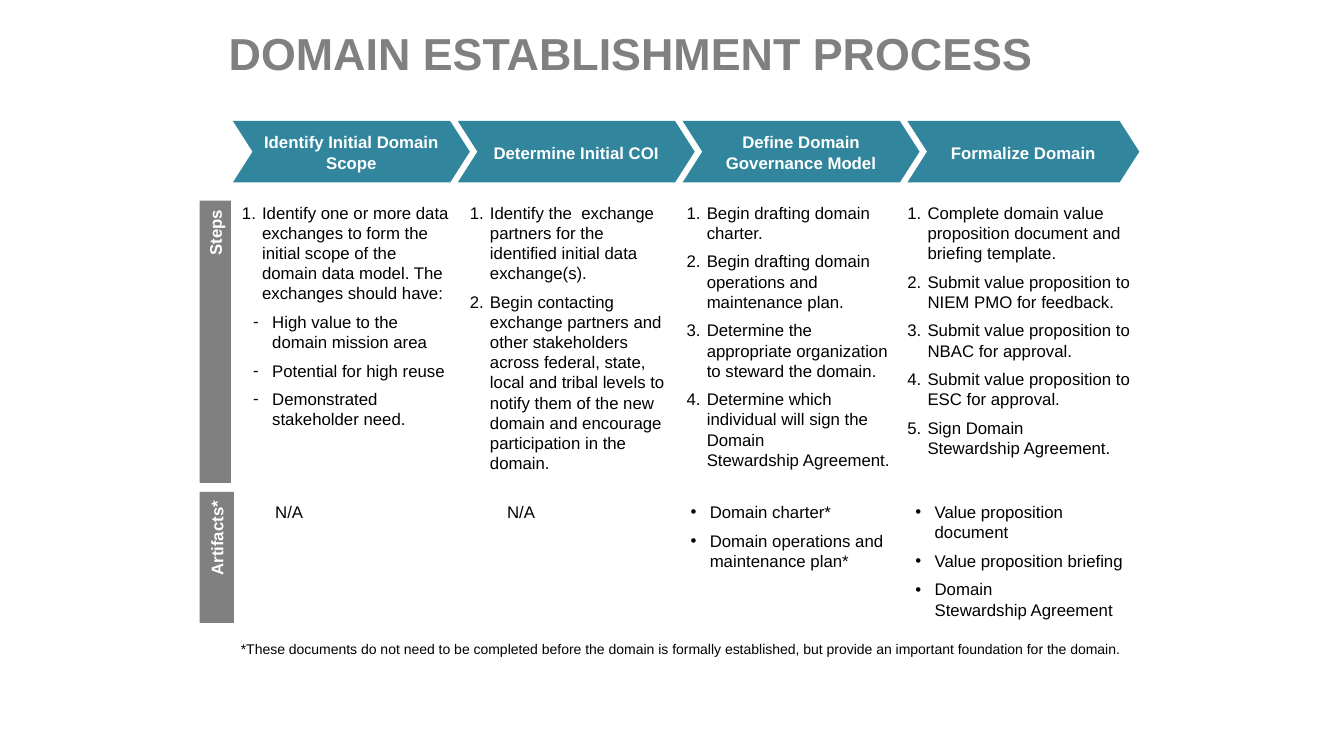
from lxml.etree import SubElement
from pptx import Presentation
from pptx.dml.color import RGBColor
from pptx.enum.shapes import MSO_SHAPE as Preset
from pptx.enum.text import MSO_ANCHOR as Anchor, PP_ALIGN as Align
from pptx.oxml.ns import qn
from pptx.util import Inches, Pt

TEAL = RGBColor(0x31, 0x85, 0x9C)
GRAY = RGBColor(0x80, 0x80, 0x80)
WHITE = RGBColor(0xFF, 0xFF, 0xFF)
BLACK = RGBColor(0, 0, 0)

FONT = "Arial"
INSET = 0.05
NUMBER, DASH, DOT, PLAIN = "number", "-", "•", ""
INDENTS = {NUMBER: (0.2, 0.2), DASH: (0.3, 0.19), DOT: (0.19, 0.19)}

STAGE_LEFT, STAGE_TOP, STAGE_PITCH, STAGE_HEIGHT = 2.31, 1.2, 2.23, 0.61
STAGES = [
    ("Identify Initial Domain Scope", 2.35),
    ("Determine Initial COI", 2.35),
    ("Define Domain Governance Model", 2.35),
    ("Formalize Domain", 2.3),
]

STEPS = [
    (2.35, 2.16, [
        (NUMBER, "Identify one or more data exchanges to form the initial scope of "
                 "the domain data model. The exchanges should have:"),
        (DASH, "High value to the domain mission area"),
        (DASH, "Potential for high reuse"),
        (DASH, "Demonstrated stakeholder need."),
    ]),
    (4.61, 2.13, [
        (NUMBER, "Identify the  exchange partners for the identified initial data exchange(s)."),
        (NUMBER, "Begin contacting exchange partners and other stakeholders across "
                 "federal, state, local and tribal levels to notify them of the new "
                 "domain and encourage participation in the domain."),
    ]),
    (6.76, 2.12, [
        (NUMBER, "Begin drafting domain charter."),
        (NUMBER, "Begin drafting domain operations and maintenance plan."),
        (NUMBER, "Determine the appropriate organization to steward the domain."),
        (NUMBER, "Determine which individual will sign the Domain \nStewardship Agreement."),
    ]),
    (8.95, 2.36, [
        (NUMBER, "Complete domain value proposition document and briefing template."),
        (NUMBER, "Submit value proposition to NIEM PMO for feedback."),
        (NUMBER, "Submit value proposition to NBAC for approval."),
        (NUMBER, "Submit value proposition to ESC for approval."),
        (NUMBER, "Sign Domain \nStewardship Agreement."),
    ]),
]

ARTIFACTS = [
    (2.68, 1.67, [(PLAIN, "N/A")]),
    (4.98, 1.67, [(PLAIN, "N/A")]),
    (6.8, 2.1, [
        (DOT, "Domain charter*"),
        (DOT, "Domain operations and maintenance plan*"),
    ]),
    (9.03, 2.24, [
        (DOT, "Value proposition document"),
        (DOT, "Value proposition briefing"),
        (DOT, "Domain \nStewardship Agreement"),
    ]),
]


def set_insets(frame, side, edge=INSET):
    frame.word_wrap = True
    frame.margin_left = frame.margin_right = Inches(side)
    frame.margin_top = frame.margin_bottom = Inches(edge)


def write(para, text, size, color, bold=False):
    para.text = text
    for span in para.runs:
        span.font.name = FONT
        span.font.size = Pt(size)
        span.font.bold = bold
        span.font.color.rgb = color


def add_marker(para, marker):
    if marker == PLAIN:
        return
    left, hanging = INDENTS[marker]
    props = para._p.get_or_add_pPr()
    props.set("marL", str(Inches(left)))
    props.set("indent", str(-Inches(hanging)))
    if marker == NUMBER:
        SubElement(props, qn("a:buAutoNum"), type="arabicPeriod")
    else:
        SubElement(props, qn("a:buFont"), typeface=FONT)
        SubElement(props, qn("a:buChar"), char=marker)


def add_text(page, box, text, size, color, bold=False):
    frame = page.shapes.add_textbox(*map(Inches, box)).text_frame
    set_insets(frame, 0.1)
    para = frame.paragraphs[0]
    write(para, text, size, color, bold)
    return para


def add_block(page, preset, box, fill, text):
    block = page.shapes.add_shape(preset, *map(Inches, box))
    block.shadow.inherit = False
    block.fill.solid()
    block.fill.fore_color.rgb = fill
    block.line.fill.background()
    frame = block.text_frame
    frame.vertical_anchor = Anchor.MIDDLE
    write(frame.paragraphs[0], text, 12, WHITE, True)
    return block


def add_stages(page, left, top, height):
    for index, (name, width) in enumerate(STAGES):
        box = (left + index * STAGE_PITCH, top, width, height)
        chevron = add_block(page, Preset.CHEVRON, box, TEAL, name)
        chevron.adjustments[0] = 0.32
        set_insets(chevron.text_frame, 0)
        para = chevron.text_frame.paragraphs[0]
        para.alignment = Align.CENTER
        para.line_spacing = 1.06


def add_row(page, label, bar_box, text_top, text_height, columns):
    bar = add_block(page, Preset.RECTANGLE, bar_box, GRAY, label)
    set_insets(bar.text_frame, INSET, 0.09)
    bar.text_frame._txBody.bodyPr.set("vert", "vert270")
    bar.text_frame.paragraphs[0].alignment = Align.RIGHT
    for left, width, items in columns:
        box = (left, text_top, width, text_height)
        frame = page.shapes.add_textbox(*map(Inches, box)).text_frame
        set_insets(frame, INSET)
        for index, (marker, text) in enumerate(items):
            para = frame.add_paragraph() if index else frame.paragraphs[0]
            para.space_after = Pt(6)
            add_marker(para, marker)
            write(para, text, 12, BLACK)


def main():
    deck = Presentation()
    deck.slide_width, deck.slide_height = Inches(13.33), Inches(7.5)
    page = deck.slides.add_slide(deck.slide_layouts[6])
    title = add_text(page, (2.17, 0.31, 9, 0.89),
                     "DOMAIN ESTABLISHMENT PROCESS", 32, GRAY, True)
    title.line_spacing = 0.8
    add_stages(page, STAGE_LEFT, STAGE_TOP, STAGE_HEIGHT)
    add_row(page, "Steps", (1.98, 1.99, 0.31, 2.8), 1.96, 2.9, STEPS)
    add_row(page, "Artifacts*", (1.98, 4.88, 0.34, 1.3), 4.93, 1.25, ARTIFACTS)
    add_text(page, (2.29, 6.31, 9.01, 0.27),
             "*These documents do not need to be completed before the domain is formally "
             "established, but provide an important foundation for the domain.", 10, BLACK)
    deck.save("out.pptx")


if __name__ == "__main__":
    main()
